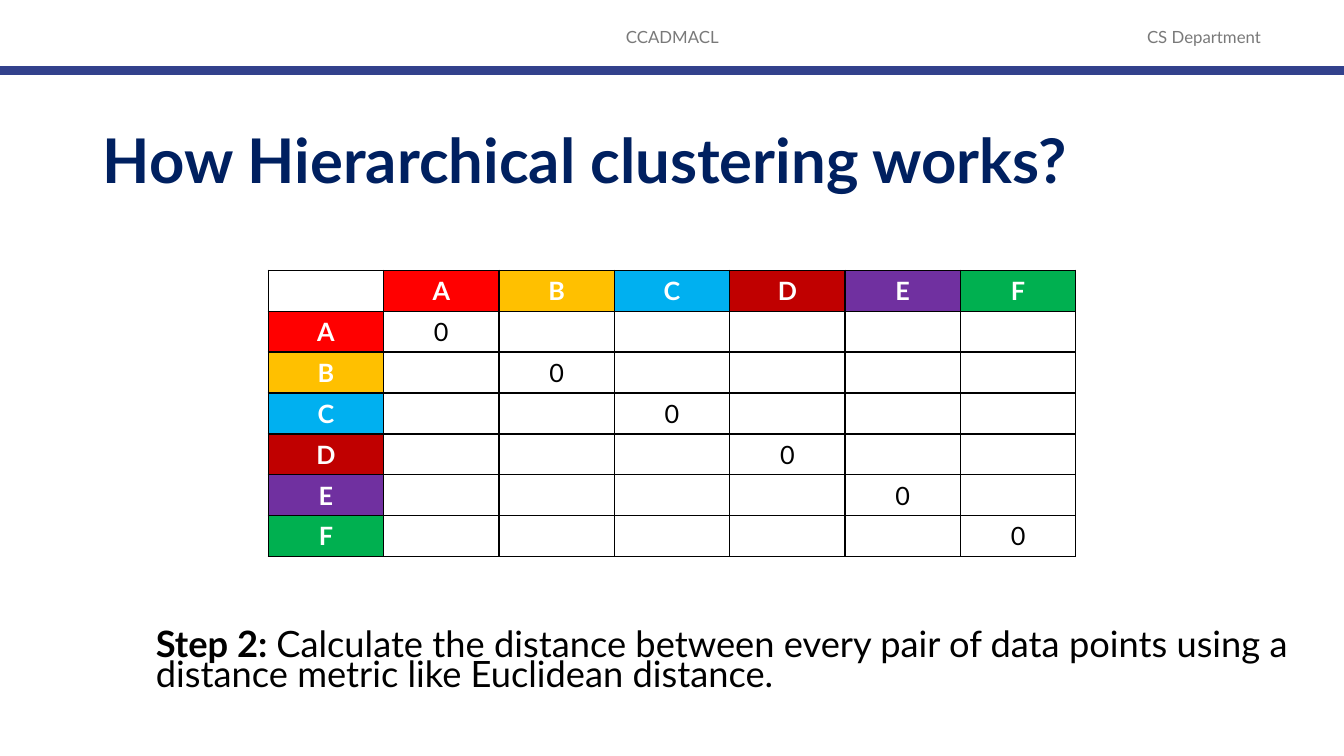
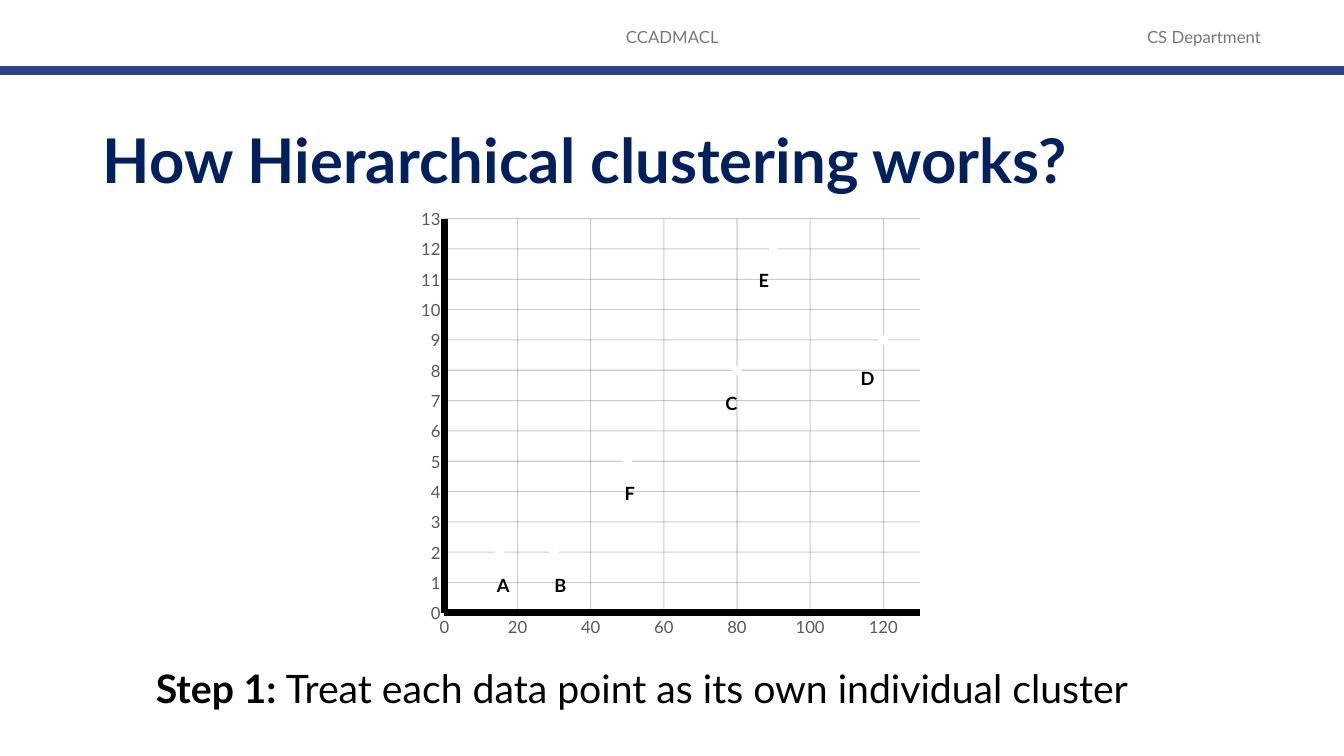
"""Build two slides on how hierarchical clustering works."""
from lxml.etree import SubElement as Sub
from pptx import Presentation
from pptx.chart.data import XyChartData as Data
from pptx.dml.color import RGBColor as Color
from pptx.enum.chart import XL_CHART_TYPE as Kind
from pptx.enum.chart import XL_MARKER_STYLE as Mark
from pptx.enum.chart import XL_TICK_MARK as Tick
from pptx.enum.shapes import MSO_CONNECTOR as Link
from pptx.enum.text import MSO_ANCHOR as Anchor
from pptx.enum.text import MSO_AUTO_SIZE as Fit
from pptx.enum.text import PP_ALIGN as Align
from pptx.oxml.ns import qn
from pptx.util import Cm, Pt

FONT = "Lato"
BLACK = Color(0x00, 0x00, 0x00)
WHITE = Color(0xFF, 0xFF, 0xFF)
NAVY = Color(0x00, 0x20, 0x60)
BLUE = Color(0x32, 0x41, 0x8C)
GREY = Color(0x79, 0x79, 0x79)
DARK = Color(0x59, 0x59, 0x59)

TITLE = "How Hierarchical clustering works?"
HEADS = [("CCADMACL", 11.23, 11.43), ("CS Department", 27.74, 5.21)]
GROUPS = {
    "A": Color(0xFF, 0x00, 0x00),
    "B": Color(0xFF, 0xC0, 0x00),
    "C": Color(0x00, 0xB0, 0xF0),
    "D": Color(0xC0, 0x00, 0x00),
    "E": Color(0x70, 0x30, 0xA0),
    "F": Color(0x00, 0xB0, 0x50),
}
POINTS = [(15, 2), (30, 2), (80, 8), (120, 9), (90, 12), (50, 5)]
LABELS = [
    ("A", 12.27, 14.35), ("B", 13.72, 14.35), ("E", 18.87, 6.65),
    ("D", 21.44, 9.12), ("C", 18.03, 9.75), ("F", 15.49, 12.04),
]
PLOT = {"x": 0.07, "y": 0.02, "w": 0.95, "h": 0.9}
STEPS = [
    ("Step 2: ", "Calculate the distance between every pair of data points "
     "using a distance metric like Euclidean distance."),
    ("Step 1: ", "Treat each data point as its own individual cluster"),
]


def style(font, size, color, bold=False):
    font.name, font.size, font.bold = FONT, Pt(size), bold
    font.color.rgb = color


def write(frame, *parts, size=18, color=BLACK, bold=False, align=Align.LEFT,
          anchor=Anchor.TOP, space=None, before=None):
    """Fill a frame with one paragraph; a part is text or (text, bold)."""
    frame.word_wrap, frame.vertical_anchor = True, anchor
    para = frame.paragraphs[0]
    para.alignment, para.line_spacing = align, space
    para.space_before = before
    for part in parts:
        text, heavy = part if isinstance(part, tuple) else (part, bold)
        run = para.add_run()
        run.text = text
        style(run.font, size, color, heavy)


def add_text(slide, box, *parts, **look):
    shape = slide.shapes.add_textbox(*map(Cm, box))
    write(shape.text_frame, *parts, **look)
    return shape


def set_layout(layout):
    for holder in list(layout.placeholders)[1:]:
        holder.element.getparent().remove(holder.element)
    title = layout.placeholders[0]
    title.left, title.top = Cm(2.34), Cm(2.29)
    title.width, title.height = Cm(29.21), Cm(3.68)


def add_head(slide, layout, width):
    """Draw the header band and move it to the layout."""
    band = [
        add_text(slide, (left, 0.43, wide, 1.02), text, size=12, color=GREY,
                 align=Align.CENTER, anchor=Anchor.MIDDLE)
        for text, left, wide in HEADS
    ]
    rule = slide.shapes.add_connector(Link.STRAIGHT, 0, Cm(1.78), width, Cm(1.78))
    rule.line.color.rgb, rule.line.width = BLUE, Pt(6)
    Sub(rule.element.spPr, qn("a:effectLst"))
    for shape in band + [rule]:
        layout.shapes.element.append(shape.element)


def add_slide(deck, layout):
    slide = deck.slides.add_slide(layout)
    frame = slide.shapes.title.text_frame
    frame.auto_size = Fit.NONE
    write(frame, TITLE, size=44, color=NAVY, bold=True,
          anchor=Anchor.MIDDLE, space=0.9)
    return slide


def add_step(slide, step, top, size, space):
    head, text = step
    add_text(slide, (3.68, top, 29.21, 1.85), (head, True), text,
             size=size, space=space, before=Pt(10))


def frame_cell(cell):
    props = cell._tc.get_or_add_tcPr()
    for side in ("lnL", "lnR", "lnT", "lnB"):
        line = Sub(props, qn(f"a:{side}"), w=str(Pt(1)))
        Sub(Sub(line, qn("a:solidFill")), qn("a:srgbClr"), val=str(BLACK))


def add_grid(slide):
    names = ["", *GROUPS]
    count = len(names)
    grid = slide.shapes.add_table(
        count, count, Cm(6.76), Cm(6.81), Cm(20.35), Cm(7.22)).table
    grid.first_row = grid.horz_banding = False
    for row, side in enumerate(names):
        for col, top in enumerate(names):
            cell = grid.cell(row, col)
            frame_cell(cell)
            head = side + top if not row or not col else ""
            cell.fill.solid()
            cell.fill.fore_color.rgb = GROUPS.get(head, WHITE)
            text = head or ("0" if row and row == col else "")
            if text:
                write(cell.text_frame, text, bold=bool(head),
                      color=WHITE if head else BLACK, align=Align.CENTER)
            cell.vertical_anchor = Anchor.MIDDLE


def set_axis(axis, high, unit):
    axis.minimum_scale, axis.maximum_scale, axis.major_unit = 0, high, unit
    axis.major_tick_mark = axis.minor_tick_mark = Tick.NONE
    style(axis.tick_labels.font, 12, DARK)
    axis.format.line.color.rgb, axis.format.line.width = BLACK, Pt(5)
    axis.has_major_gridlines = True
    lines = axis.major_gridlines
    lines.format.line.color.rgb = BLACK
    lines.format.line.width = Pt(0.75)
    tint = next(lines._xAx.find(qn("c:majorGridlines")).iter(qn("a:srgbClr")))
    Sub(tint, qn("a:alpha"), val="20000")


def place_plot(chart):
    area = chart._chartSpace.chart.plotArea
    old = area.find(qn("c:layout"))
    if old is not None:
        area.remove(old)
    outer = Sub(area, qn("c:layout"))
    area.insert(0, outer)
    spot = Sub(outer, qn("c:manualLayout"))
    Sub(spot, qn("c:layoutTarget"), val="inner")
    for key in "xy":
        Sub(spot, qn(f"c:{key}Mode"), val="edge")
    for key, val in PLOT.items():
        Sub(spot, qn(f"c:{key}"), val=str(val))


def add_plot(slide):
    data = Data()
    points = data.add_series("Series 1")
    for x, y in POINTS:
        points.add_data_point(x, y)
    box = map(Cm, (10.57, 5.26, 12.7, 11.07))
    chart = slide.shapes.add_chart(Kind.XY_SCATTER, *box, data).chart
    chart.has_title = chart.has_legend = False
    style(chart.font, 10, BLACK)
    set_axis(chart.category_axis, 130, 20)
    set_axis(chart.value_axis, 13, 1)
    place_plot(chart)
    plot = chart.plots[0]
    plot.vary_by_categories = False
    dots = plot.series[0]
    dots.format.line.fill.background()
    dots.marker.style, dots.marker.size = Mark.CIRCLE, 6
    look = dots.marker.format
    look.fill.solid()
    look.fill.fore_color.rgb = look.line.color.rgb = WHITE
    for name, left, top in LABELS:
        add_text(slide, (left, top, 1.09, 0.81), name, size=13, bold=True)


def main():
    deck = Presentation()
    deck.slide_width, deck.slide_height = Cm(33.87), Cm(19.05)
    layout = deck.slide_layouts.get_by_name("Title Only")
    set_layout(layout)
    first, second = (add_slide(deck, layout) for _ in STEPS)
    add_head(first, layout, deck.slide_width)
    add_step(first, STEPS[0], 15.82, 25.9, 0.7)
    add_grid(first)
    add_plot(second)
    add_step(second, STEPS[1], 16.76, 28, 0.9)
    deck.save("out.pptx")


if __name__ == "__main__":
    main()
